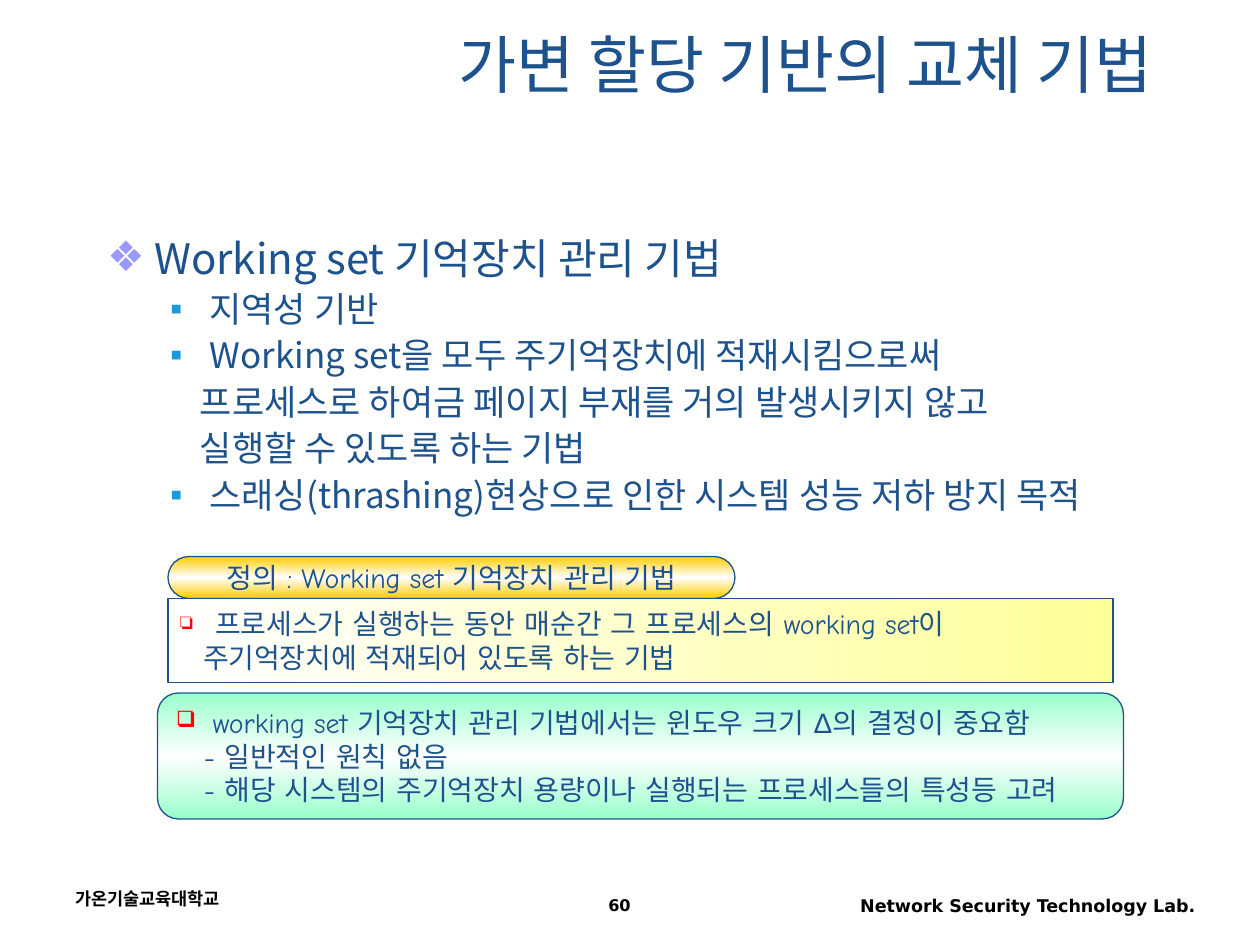
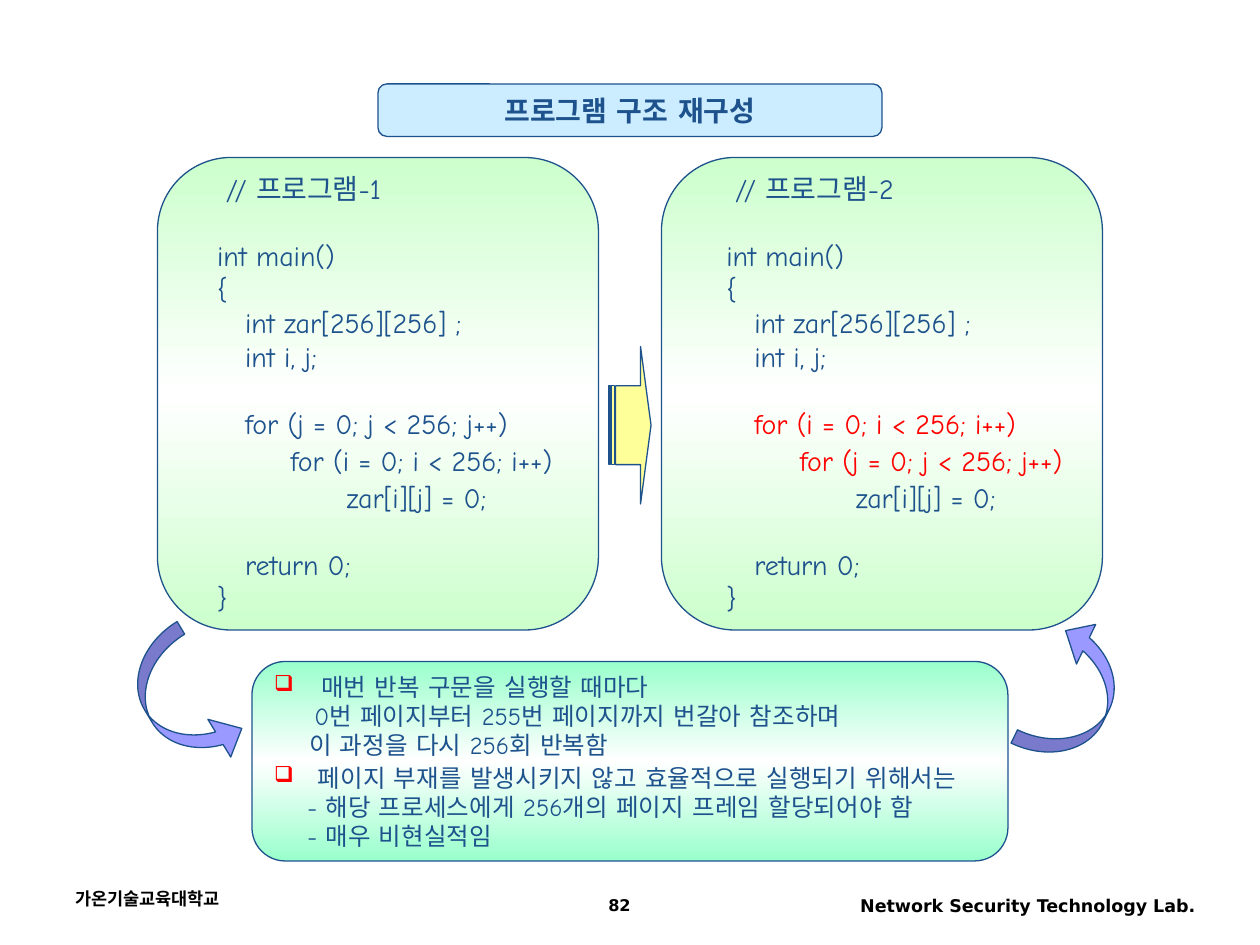
from dataclasses import dataclass
from copy import deepcopy

from lxml import etree
from pptx import Presentation, util as u
from pptx.dml.color import RGBColor
from pptx.enum import shapes, text
from pptx.oxml.ns import qn

SHAPE = shapes.MSO_SHAPE
ALIGN = text.PP_ALIGN
ANCHOR = text.MSO_ANCHOR


@dataclass(frozen=True)
class Theme:
    # Colours
    ink: str = "1D528D"
    black: str = "000000"
    red: str = "FF0000"
    lavender: str = "9999FF"
    blue: str = "1B9AD9"
    pale_blue: str = "CCECFF"
    yellow: str = "FFFF99"
    gold_band: tuple = ("FFCC00", "FFFFFF", "FFCC00")
    yellow_fade: tuple = ("FFFFFF", "FFFF99")
    mint_band: tuple = ("99FFCC", "FFFFFF", "99FFCC")
    green_band: tuple = ("CCFFCC", "FFFFFF", "CCFFCC")
    # Type
    heading_font: str = "Noto Sans CJK KR"
    box_font: str = "Comic Neue"
    footer_font: str = "DejaVu Sans"
    symbol_font: str = "Arial"
    title_size: float = 36
    topic_size: float = 24
    point_size: float = 20
    box_size: float = 16
    note_size: float = 14
    footer_size: float = 10
    number_size: float = 9.2
    # Lines
    leading: float = 1.2
    outline: float = 0.75


THEME = Theme()


@dataclass
class Line:
    """One paragraph: its words, left margin, bullet and spacing in points."""
    words: str
    margin: float = 0
    hanging: float = 0
    bullet: str = ""
    bullet_color: str = THEME.red
    bullet_percent: int = 80
    before: float = 0
    stretch: float = 1
    size: float = THEME.box_size
    color: str = THEME.ink
    font: str = THEME.box_font


def write(paragraph, words, size=THEME.box_size, font=THEME.box_font,
          color=THEME.ink, bold=False, align=None):
    """Add a run with the same font for Latin and Korean letters."""
    if align is not None:
        paragraph.alignment = align
    run = paragraph.add_run()
    run.text = words
    run.font.size = u.Pt(size)
    run.font.name = font
    run.font.bold = bold
    run.font.color.rgb = RGBColor.from_string(color)
    etree.SubElement(run.font._element, qn("a:ea"), typeface=font)


def set_bullet(paragraph, line):
    properties = paragraph._p.get_or_add_pPr()
    properties.set("marL", str(u.Pt(line.margin)))
    properties.set("indent", str(u.Pt(-line.hanging)))
    if not line.bullet:
        etree.SubElement(properties, qn("a:buNone"))
        return
    color = etree.SubElement(properties, qn("a:buClr"))
    etree.SubElement(color, qn("a:srgbClr"), val=line.bullet_color)
    etree.SubElement(properties, qn("a:buSzPct"), val=str(line.bullet_percent * 1000))
    etree.SubElement(properties, qn("a:buChar"), char=line.bullet)


class Deck:
    def __init__(self, theme):
        self.theme = theme
        self.presentation = Presentation()
        self.presentation.slide_width = u.Pt(720)
        self.presentation.slide_height = u.Pt(540)
        self.slide = None

    def start_slide(self, layout, number):
        layouts = self.presentation.slide_layouts
        self.slide = self.presentation.slides.add_slide(layouts[layout])
        size = self.theme.footer_size
        footers = [
            ((36, 504, 168, 24), "가온기술교육대학교", size, ALIGN.LEFT),
            ((462, 508, 228, 23), "Network Security Technology Lab.", size, ALIGN.RIGHT),
            ((270, 508, 168, 20), str(number), self.theme.number_size, ALIGN.CENTER),
        ]
        for box, words, size, align in footers:
            frame = self.text_box(box)
            write(frame.paragraphs[0], words, size=size, bold=True, align=align,
                  font=self.theme.footer_font, color=self.theme.black)

    def place(self, shape, box):
        shape.left, shape.top, shape.width, shape.height = map(u.Pt, box)

    def prepare(self, frame, anchor):
        frame.word_wrap = True
        frame.auto_size = text.MSO_AUTO_SIZE.NONE
        frame.vertical_anchor = anchor
        return frame

    def fill_lines(self, frame, lines):
        for index, line in enumerate(lines):
            paragraph = frame.add_paragraph() if index else frame.paragraphs[0]
            paragraph.alignment = ALIGN.LEFT
            paragraph.line_spacing = u.Pt(line.size * self.theme.leading * line.stretch)
            paragraph.space_before = u.Pt(line.before)
            set_bullet(paragraph, line)
            for piece in filter(None, line.words.partition("Δ")):
                font = self.theme.symbol_font if piece == "Δ" else line.font
                write(paragraph, piece, size=line.size, font=font, color=line.color)

    def title(self, words):
        shape = self.slide.shapes.title
        self.place(shape, (54, 12, 612, 48))
        frame = self.prepare(shape.text_frame, ANCHOR.MIDDLE)
        write(frame.paragraphs[0], words, size=self.theme.title_size,
              font=self.theme.heading_font, align=ALIGN.RIGHT)

    def body(self, box, lines):
        shape = self.slide.placeholders[1]
        self.place(shape, box)
        self.fill_lines(self.prepare(shape.text_frame, ANCHOR.TOP), lines)

    def text_box(self, box, lines=(), anchor=ANCHOR.TOP):
        shape = self.slide.shapes.add_textbox(*map(u.Pt, box))
        frame = self.prepare(shape.text_frame, anchor)
        self.fill_lines(frame, lines)
        return frame

    def shape(self, kind, box, fill, lines=(), angle=90, adjustments=(), rotation=0):
        """Draw a preset shape; a tuple of colours makes a gradient."""
        shape = self.slide.shapes.add_shape(kind, *map(u.Pt, box))
        shape.shadow.inherit = False
        shape.rotation = rotation
        for index, value in enumerate(adjustments):
            shape.adjustments[index] = value
        shape.line.color.rgb = RGBColor.from_string(self.theme.ink)
        shape.line.width = u.Pt(self.theme.outline)
        if isinstance(fill, tuple):
            self.gradient(shape, fill, angle)
        else:
            shape.fill.solid()
            shape.fill.fore_color.rgb = RGBColor.from_string(fill)
        frame = self.prepare(shape.text_frame, ANCHOR.MIDDLE)
        self.fill_lines(frame, lines)
        return frame

    def gradient(self, shape, colors, angle):
        shape.fill.gradient()
        shape.fill.gradient_angle = angle
        stop_list = shape._element.spPr.find(qn("a:gradFill")).find(qn("a:gsLst"))
        while len(stop_list) < len(colors):
            stop_list.append(deepcopy(stop_list[0]))
        for index, stop in enumerate(shape.fill.gradient_stops):
            stop.position = index / (len(colors) - 1)
            stop.color.rgb = RGBColor.from_string(colors[index])

    def label(self, box, words, fill, rounding, bold=False):
        frame = self.shape(SHAPE.ROUNDED_RECTANGLE, box, fill, adjustments=[rounding])
        write(frame.paragraphs[0], words, bold=bold, align=ALIGN.CENTER)


def point(words, bullet="▪"):
    """Second-level line of the list; a line without a bullet continues one."""
    margin, hanging = (58.5, 22.5) if bullet else (53, 0)
    return Line(words, margin, hanging, bullet, THEME.blue, 100, before=5, stretch=0.9,
                size=THEME.point_size, font=THEME.heading_font)


def working_set_slide(deck):
    deck.start_slide(layout=1, number=60)
    deck.title("가변 할당 기반의 교체 기법")
    deck.body((54, 132, 624, 174), [
        Line("Working set 기억장치 관리 기법", 27, 27, "❖", THEME.lavender, 100, before=6,
             stretch=0.9, size=THEME.topic_size, font=THEME.heading_font),
        point("지역성 기반"),
        point("Working set을 모두 주기억장치에 적재시킴으로써"),
        point("프로세스로 하여금 페이지 부재를 거의 발생시키지 않고", bullet=""),
        point("실행할 수 있도록 하는 기법", bullet=""),
        point("스래싱(thrashing)현상으로 인한 시스템 성능 저하 방지 목적"),
    ])

    # Definition
    deck.label((96, 318, 324, 24), "정의 : Working set 기억장치 관리 기법",
               THEME.gold_band, rounding=0.5)
    deck.shape(SHAPE.RECTANGLE, (96, 342, 540, 48), THEME.yellow_fade, angle=0, lines=[
        Line("프로세스가 실행하는 동안 매순간 그 프로세스의 working set이", 20, 20, "❏"),
        Line("주기억장치에 적재되어 있도록 하는 기법", 13),
    ])

    # Window size
    deck.shape(SHAPE.FLOWCHART_ALTERNATE_PROCESS, (90, 396, 552, 72), THEME.mint_band, [
        Line("working set 기억장치 관리 기법에서는 윈도우 크기 Δ의 결정이 중요함", 21, 21, "❑"),
        Line("- 일반적인 원칙 없음", 16),
        Line("- 해당 시스템의 주기억장치 용량이나 실행되는 프로세스들의 특성등 고려", 16),
    ])


def program(number, outer, inner, loop_color):
    """Code listing whose two loops run over the given variables."""
    blank = THEME.box_size * THEME.leading
    loop = "for ({0} = 0; {0} < 256; {0}++)"
    return [
        Line(f"// 프로그램-{number}", 5),
        Line("int main()", before=blank),
        Line("{"),
        Line("int zar[256][256] ;", 16),
        Line("int i, j;", 16),
        Line(loop.format(outer), 16, before=blank, color=loop_color),
        Line(loop.format(inner), 42, stretch=1.1, color=loop_color),
        Line("zar[i][j] = 0;", 74, stretch=1.1),
        Line("return 0;", 16, before=blank),
        Line("}"),
    ]


def note(words, margin, bullet="", before=0):
    return Line(words, margin, margin if bullet else 0, bullet, bullet_percent=90,
                before=before, size=THEME.note_size)


def restructuring_slide(deck):
    deck.start_slide(layout=6, number=82)
    deck.label((216, 48, 288, 30), "프로그램 구조 재구성", THEME.pale_blue,
               rounding=0.17, bold=True)

    # Programs before and after
    programs = [
        (90, 117, program(1, "j", "i", THEME.ink)),
        (378, 408, program(2, "i", "j", THEME.red)),
    ]
    for panel_left, code_left, code in programs:
        deck.shape(SHAPE.FLOWCHART_ALTERNATE_PROCESS, (panel_left, 90, 252, 270),
                   THEME.green_band)
        deck.text_box((code_left, 94, 212, 261), code, ANCHOR.MIDDLE)
    deck.shape(SHAPE.STRIPED_RIGHT_ARROW, (348, 198, 24, 90), THEME.yellow,
               adjustments=[0.5, 0.25])

    # Explanation
    deck.shape(SHAPE.FLOWCHART_ALTERNATE_PROCESS, (144, 378, 432, 114), THEME.mint_band, [
        note("매번 반복 구문을 실행할 때마다", 27, "❑"),
        note("0번 페이지부터 255번 페이지까지 번갈아 참조하며", 23),
        note("이 과정을 다시 256회 반복함", 20),
        note("페이지 부재를 발생시키지 않고 효율적으로 실행되기 위해서는", 25, "❑", before=1.5),
        note("- 해당 프로세스에게 256개의 페이지 프레임 할당되어야 함", 19),
        note("- 매우 비현실적임", 19),
    ])

    # Curved arrows
    for left, top, rotation in [(84, 360, 328.8), (594, 354, 205.9)]:
        deck.shape(SHAPE.CURVED_RIGHT_ARROW, (left, top, 42, 84), THEME.lavender,
                   adjustments=[0.2, 0.6, 0.33], rotation=rotation)


def main():
    deck = Deck(THEME)
    working_set_slide(deck)
    restructuring_slide(deck)
    deck.presentation.save("out.pptx")


if __name__ == "__main__":
    main()
